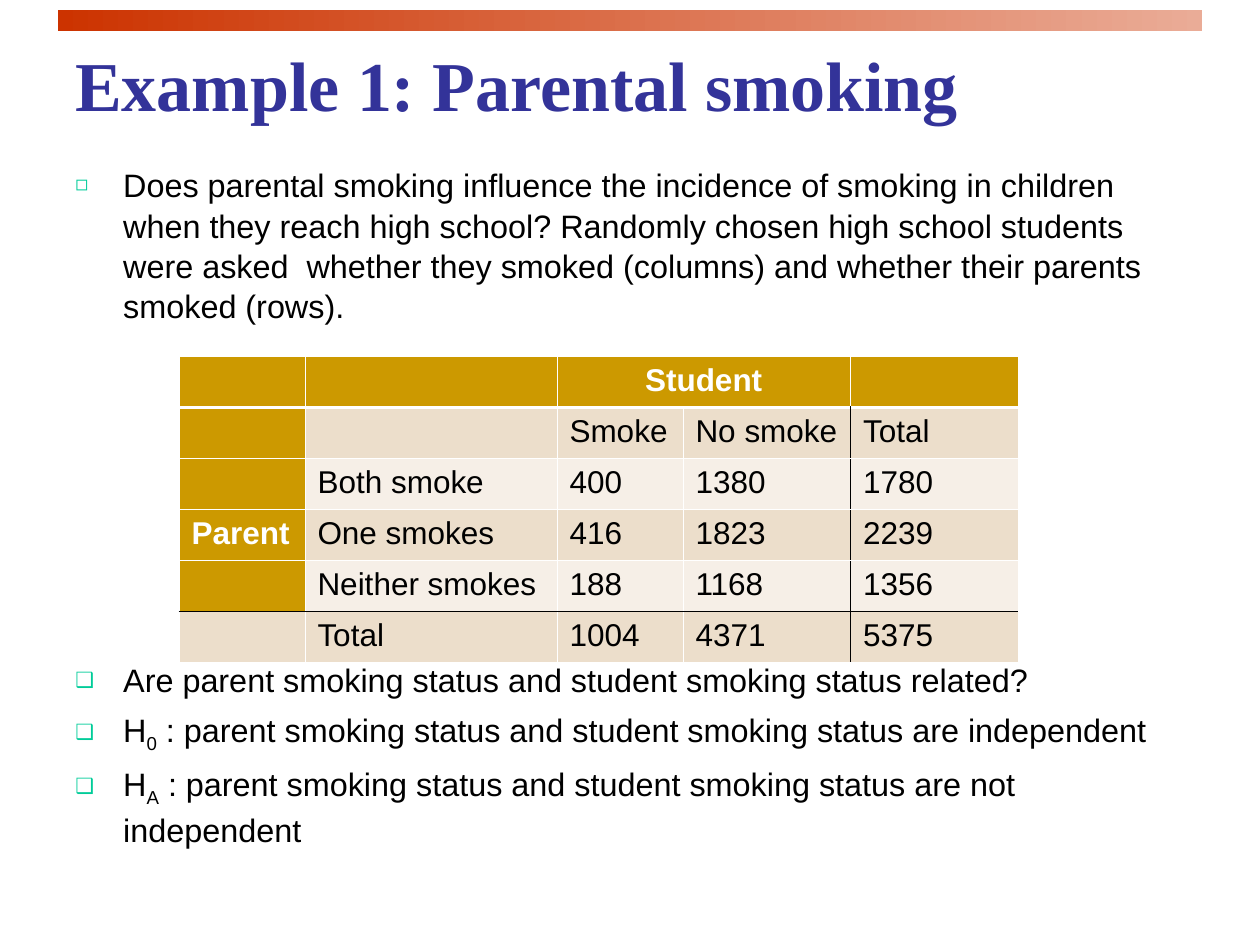
"""Build the parental smoking slide with its two-way table."""
from lxml.etree import SubElement as Sub
from pptx import Presentation
from pptx.dml.color import RGBColor as RGB
from pptx.enum.shapes import MSO_SHAPE as Shape
from pptx.enum.text import MSO_ANCHOR as Anchor, PP_ALIGN as Align
from pptx.oxml.ns import qn
from pptx.util import Inches, Pt

HUES = {"bar": "CC3300", "fade": "EAAC97", "title": "333399", "bullet": "00CC99",
        "head": "CC9900", "odd": "ECDECB", "even": "F6EFE7",
        "black": "000000", "white": "FFFFFF"}


def add_run(para, text, size, hue="black", bold=False, font="Arial"):
    run = para.add_run()
    run.text = text
    run.font.size = Pt(size)
    run.font.name = font
    run.font.bold = bold
    run.font.color.rgb = RGB.from_string(HUES[hue])
    return run


def add_line(cell, side, hue, width):
    line = Sub(cell._tc.get_or_add_tcPr(), qn("a:ln" + side), w=str(Pt(width)))
    Sub(Sub(line, qn("a:solidFill")), qn("a:srgbClr"), val=HUES[hue])


deck = Presentation()
deck.slide_width, deck.slide_height = Inches(10), Inches(7.5)
slide = deck.slides.add_slide(deck.slide_layouts[6])
shapes = slide.shapes

bar = shapes.add_shape(Shape.RECTANGLE, Inches(0.46), Inches(0.08), Inches(9.08), Inches(0.17))
bar.shadow.inherit = False
bar.line.fill.background()
bar.fill.gradient()
bar.fill.gradient_angle = 0
for stop, hue, pos in zip(bar.fill.gradient_stops, ("bar", "fade"), (0, 1)):
    stop.color.rgb = RGB.from_string(HUES[hue])
    stop.position = pos

title = shapes.add_textbox(Inches(0.5), Inches(0.25), Inches(9), Inches(0.83)).text_frame
title.word_wrap = True
title.vertical_anchor = Anchor.MIDDLE
add_run(title.paragraphs[0], "Example 1: Parental smoking", 40, "title", True, "Times New Roman")

intro = ("Does parental smoking influence the incidence of smoking in children when they "
         "reach high school? Randomly chosen high school students were asked  whether they "
         "smoked (columns) and whether their parents smoked (rows).")
claim = " : parent smoking status and student smoking status are "
blocks = [
    (1.25, 1.45, "◻", [[intro]]),
    (5.18, 1.8, "❑", [["Are parent smoking status and student smoking status related?"],
                      ["H", "0", claim + "independent"],
                      ["H", "A", claim + "not independent"]]),
]
for top, height, mark, items in blocks:
    frame = shapes.add_textbox(Inches(0.5), Inches(top), Inches(9), Inches(height)).text_frame
    frame.word_wrap = True
    for i, parts in enumerate(items):
        para = frame.add_paragraph() if i else frame.paragraphs[0]
        para.line_spacing = 1.04
        para.space_before = Pt(5)
        props = para._p.get_or_add_pPr()
        props.set("marL", str(Inches(0.38)))
        props.set("indent", str(-Inches(0.38)))
        Sub(Sub(props, qn("a:buClr")), qn("a:srgbClr"), val=HUES["bullet"])
        Sub(props, qn("a:buSzPct"), val="65000")
        Sub(props, qn("a:buFont"), typeface="Arial")
        Sub(props, qn("a:buChar"), char=mark)
        for j, part in enumerate(parts):
            run = add_run(para, part, 18.5)
            if j == 1:
                run.font._element.set("baseline", "-25000")

rows = [
    ["", "", "Student", "", ""],
    ["", "", "Smoke", "No smoke", "Total"],
    ["", "Both smoke", "400", "1380", "1780"],
    ["Parent", "One smokes", "416", "1823", "2239"],
    ["", "Neither smokes", "188", "1168", "1356"],
    ["", "Total", "1004", "4371", "5375"],
]
widths = [1, 2, 1, 1.33, 1.33]
table = shapes.add_table(len(rows), len(widths), Inches(1.42), Inches(2.83),
                         Inches(sum(widths)), Inches(2.43)).table
for col, width in zip(table.columns, widths):
    col.width = Inches(width)
table.cell(0, 2).merge(table.cell(0, 3))
last = len(rows) - 1
for r, row in enumerate(rows):
    for c, text in enumerate(row):
        cell = table.cell(r, c)
        head = r == 0 or (c == 0 and r < last)
        add_line(cell, "L", "black" if r and c == 4 else "white", 0.45)
        add_line(cell, "R", "black" if r and c == 3 else "white", 0.45)
        add_line(cell, "T", "black" if r == last else "white", 1.47 if r == 1 else 0.45)
        add_line(cell, "B", "black" if r == last - 1 else "white", 1.47 if r == 0 else 0.45)
        cell.fill.solid()
        shade = "head" if head else "odd" if r % 2 else "even"
        cell.fill.fore_color.rgb = RGB.from_string(HUES[shade])
        if text:
            para = cell.text_frame.paragraphs[0]
            para.alignment = Align.CENTER if r == 0 else Align.LEFT
            add_run(para, text, 18, "white" if head else "black", head)

deck.save("out.pptx")
